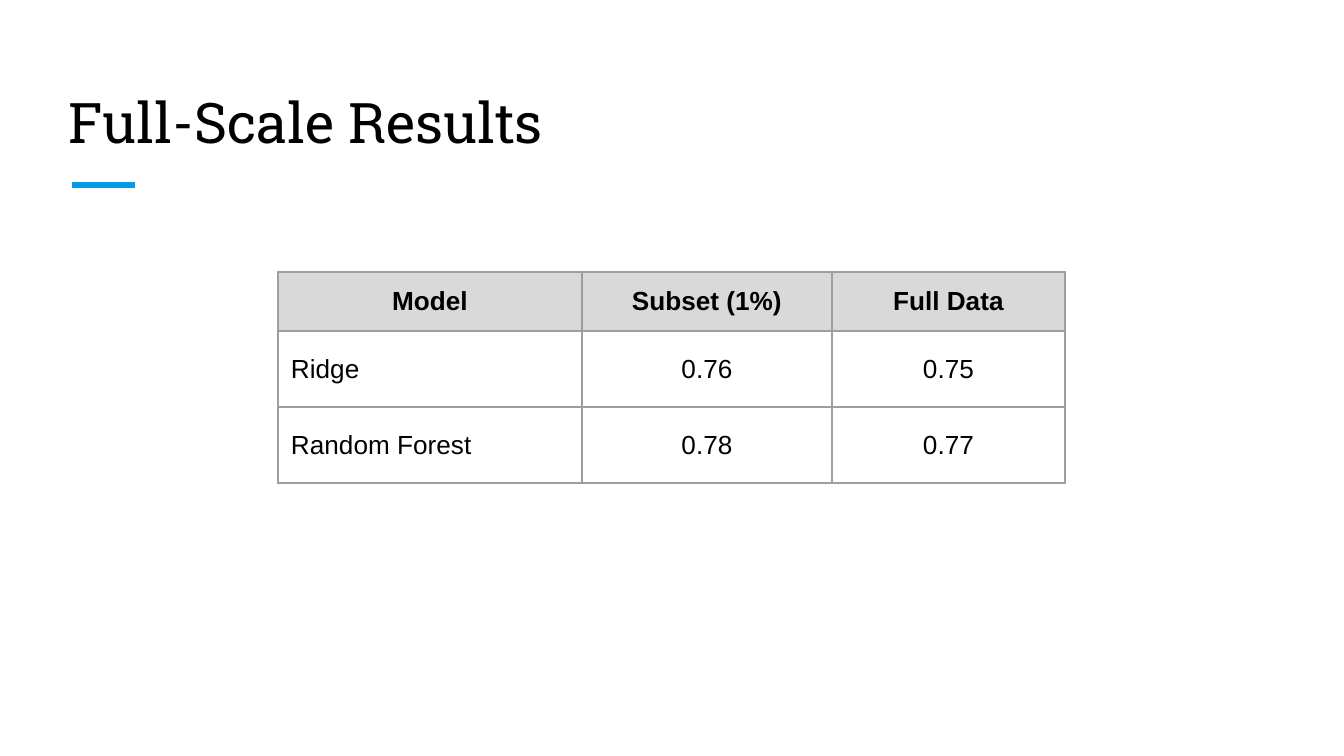
from lxml.etree import SubElement
from pptx import Presentation
from pptx.dml.color import RGBColor
from pptx.enum.shapes import MSO_CONNECTOR as Connector
from pptx.enum.text import MSO_ANCHOR as Anchor, PP_ALIGN as Align
from pptx.oxml.ns import qn
from pptx.util import Emu, Pt

# Content
TITLE = "Full-Scale Results"
RESULTS = [
    ("Model", "Subset (1%)", "Full Data"),
    ("Ridge", "0.76", "0.75"),
    ("Random Forest", "0.78", "0.77"),
]

# Layout in px
SLIDE = (1344, 756)
TITLE_BOX = (56, 67, 1230, 101)
ACCENT = (72, 185, 135, 185)
TABLE_AT = (278, 272)
COLUMNS = (304, 250, 233)
ROWS = (59, 76, 76)
INSET = 13

# Formats
BLACK, BLUE, HEADER_GREY, BORDER_GREY = "000000", "039BE5", "D9D9D9", "9E9E9E"
TITLE_FONT = {"name": "Roboto Slab", "size": Pt(30), "bold": False}
HEADER_FONT = {"name": "Arial", "size": Pt(14), "bold": True}
BODY_FONT = {**HEADER_FONT, "bold": False}
INSETS = {f"margin_{side}": INSET for side in ("left", "right", "top", "bottom")}
EMU_PER_PX = 914400 / 134.4


def px(*lengths):
    return [Emu(round(length * EMU_PER_PX)) for length in lengths]


def colour(hex_value):
    return RGBColor.from_string(hex_value)


def set_insets(target):
    for name, value in INSETS.items():
        setattr(target, name, px(value)[0])


def write(paragraph, text, font_format, align=Align.LEFT):
    run = paragraph.add_run()
    run.text = text
    paragraph.alignment = align
    for name, value in font_format.items():
        setattr(run.font, name, value)
    run.font.color.rgb = colour(BLACK)


def add_borders(cell):
    properties = cell._tc.get_or_add_tcPr()
    for side in ("lnL", "lnR", "lnT", "lnB"):
        border = SubElement(properties, qn(f"a:{side}"), w=str(Pt(0.75)))
        fill = SubElement(border, qn("a:solidFill"))
        SubElement(fill, qn("a:srgbClr"), val=BORDER_GREY)


deck = Presentation()
deck.slide_width, deck.slide_height = px(*SLIDE)
slide = deck.slides.add_slide(deck.slide_layouts[6])

# Accent line under the title
accent = slide.shapes.add_connector(Connector.STRAIGHT, *px(*ACCENT))
accent.line.color.rgb = colour(BLUE)
accent.line.width = Pt(3)
SubElement(accent._element.spPr, qn("a:effectLst"))

# Title
title = slide.shapes.add_textbox(*px(*TITLE_BOX)).text_frame
title.word_wrap = True
title.vertical_anchor = Anchor.BOTTOM
set_insets(title)
write(title.paragraphs[0], TITLE, TITLE_FONT)

# Results table
results = slide.shapes.add_table(
    len(ROWS), len(COLUMNS), *px(*TABLE_AT, sum(COLUMNS), sum(ROWS))
).table
results.horz_banding = False
for column, width in zip(results.columns, px(*COLUMNS)):
    column.width = width
for row, height in zip(results.rows, px(*ROWS)):
    row.height = height

for r, values in enumerate(RESULTS):
    is_header = r == 0
    for c, value in enumerate(values):
        cell = results.cell(r, c)
        set_insets(cell)
        cell.vertical_anchor = Anchor.MIDDLE
        add_borders(cell)
        if is_header:
            cell.fill.solid()
            cell.fill.fore_color.rgb = colour(HEADER_GREY)
        else:
            cell.fill.background()
        write(
            cell.text_frame.paragraphs[0],
            value,
            HEADER_FONT if is_header else BODY_FONT,
            Align.CENTER if is_header or c > 0 else Align.LEFT,
        )

deck.save("out.pptx")
